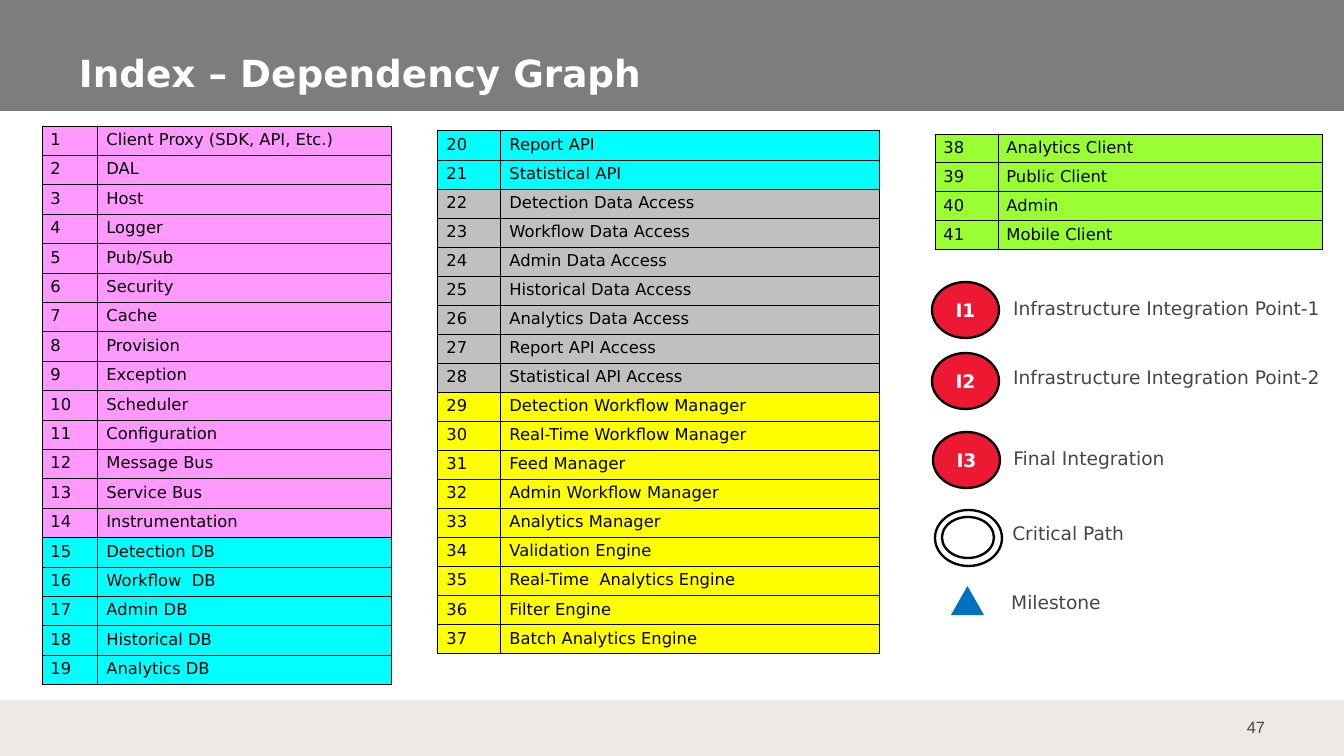
from lxml.etree import SubElement
from pptx import Presentation
from pptx.dml.color import RGBColor
from pptx.enum.shapes import MSO_SHAPE as Shape
from pptx.enum.text import MSO_ANCHOR as Anchor, MSO_AUTO_SIZE as AutoSize, PP_ALIGN as Align
from pptx.oxml.ns import qn
from pptx.util import Emu, Pt

PX = 914400 / 84
LABEL = {"name": "DejaVu Sans", "size": Pt(16), "bold": False}
STRONG = {**LABEL, "bold": True}
TITLE = {**STRONG, "size": Pt(32)}
CELL = {**LABEL, "size": Pt(14)}
NUMBER = {**CELL, "name": "Arial"}
BLACK, WHITE, DARK = "000000", "FFFFFF", "464646"
PINK, CYAN, GRAY, YELLOW, GREEN = "FF99FF", "00FFFF", "C0C0C0", "FFFF00", "99FF33"


def color(value):
    return RGBColor.from_string(value)


def write(frame, text, style, ink, align=Align.LEFT):
    para = frame.paragraphs[0]
    para.alignment = align
    span = para.add_run()
    span.text = text
    for name, value in style.items():
        setattr(span.font, name, value)
    span.font.color.rgb = color(ink)


deck = Presentation()
deck.slide_width, deck.slide_height = Emu(round(1344 * PX)), Emu(round(756 * PX))
page = deck.slides.add_slide(deck.slide_layouts[6])

shapes = [
    (Shape.RECTANGLE, (-2, 0, 1348, 111), "7D7D7D", False, ""),
    (Shape.RECTANGLE, (0, 700, 1344, 56), "EFE9E5", False, ""),
    (Shape.OVAL, (932, 282, 67, 56), "ED1933", True, "I1"),
    (Shape.OVAL, (932, 353, 67, 56), "ED1933", True, "I2"),
    (Shape.OVAL, (933, 432, 67, 56), "ED1933", True, "I3"),
    (Shape.OVAL, (935, 510, 67, 56), None, True, ""),
    (Shape.OVAL, (942, 517, 52, 41), None, True, ""),
    (Shape.ISOSCELES_TRIANGLE, (951, 586, 33, 29), "0070C0", False, ""),
]
for kind, place, fill, outlined, text in shapes:
    shape = page.shapes.add_shape(kind, *[Emu(round(n * PX)) for n in place])
    shape.shadow.inherit = False
    if fill:
        shape.fill.solid()
        shape.fill.fore_color.rgb = color(fill)
    else:
        shape.fill.background()
    if outlined:
        shape.line.color.rgb = color(BLACK)
        shape.line.width = Pt(2)
    else:
        shape.line.fill.background()
    if text:
        shape.text_frame.vertical_anchor = Anchor.MIDDLE
        write(shape.text_frame, text, STRONG, WHITE, Align.CENTER)

headings = [
    ((67, 39, 1194, 62), "Index – Dependency Graph", TITLE, WHITE, Align.LEFT, Anchor.BOTTOM),
    ((1210, 707, 67, 40), "47", NUMBER, DARK, Align.RIGHT, Anchor.MIDDLE),
]
for place, text, style, ink, align, anchor in headings:
    box = page.shapes.add_textbox(*[Emu(round(n * PX)) for n in place])
    frame = box.text_frame
    frame.word_wrap = True
    frame.vertical_anchor = anchor
    frame.margin_left = frame.margin_right = Emu(round(12 * PX))
    frame.margin_top = frame.margin_bottom = Emu(round(6 * PX))
    write(frame, text, style, ink, align)

labels = [
    (1005, 293, 334, "Infrastructure Integration Point-1"),
    (1005, 362, 334, "Infrastructure Integration Point-2"),
    (1005, 443, 174, "Final Integration"),
    (1004, 518, 131, "Critical Path"),
    (1003, 587, 109, "Milestone"),
]
for left, top, width, text in labels:
    box = page.shapes.add_textbox(*[Emu(round(n * PX)) for n in (left, top, width, 31)])
    box.text_frame.word_wrap = False
    box.text_frame.auto_size = AutoSize.SHAPE_TO_FIT_TEXT
    write(box.text_frame, text, LABEL, DARK)

tables = [
    ((42, 126, 350, 559), 56, [
        (PINK, ["Client Proxy (SDK, API, Etc.)", "DAL", "Host", "Logger", "Pub/Sub",
                "Security", "Cache", "Provision", "Exception", "Scheduler",
                "Configuration", "Message Bus", "Service Bus", "Instrumentation"]),
        (CYAN, ["Detection DB", "Workflow  DB", "Admin DB", "Historical DB", "Analytics DB"]),
    ]),
    ((438, 131, 442, 523), 63, [
        (CYAN, ["Report API", "Statistical API"]),
        (GRAY, ["Detection Data Access", "Workflow Data Access", "Admin Data Access",
                "Historical Data Access", "Analytics Data Access", "Report API Access",
                "Statistical API Access"]),
        (YELLOW, ["Detection Workflow Manager", "Real-Time Workflow Manager", "Feed Manager",
                  "Admin Workflow Manager", "Analytics Manager", "Validation Engine",
                  "Real-Time  Analytics Engine", "Filter Engine", "Batch Analytics Engine"]),
    ]),
    ((935, 134, 387, 116), 63, [
        (GREEN, ["Analytics Client", "Public Client", "Admin", "Mobile Client"]),
    ]),
]
number = 0
for place, number_width, groups in tables:
    entries = [(fill, name) for fill, names in groups for name in names]
    table = page.shapes.add_table(len(entries), 2, *[Emu(round(n * PX)) for n in place]).table
    table.first_row = table.horz_banding = False
    table.columns[0].width = Emu(round(number_width * PX))
    table.columns[1].width = Emu(round((place[2] - number_width) * PX))
    for row, (fill, name) in zip(table.rows, entries):
        row.height = Emu(round(place[3] / len(entries) * PX))
        number += 1
        for cell, text in zip(row.cells, (str(number), name)):
            props = cell._tc.get_or_add_tcPr()
            for side in ("a:lnL", "a:lnR", "a:lnT", "a:lnB"):
                border = SubElement(props, qn(side), w=str(Pt(1)))
                SubElement(SubElement(border, qn("a:solidFill")), qn("a:srgbClr"), val=BLACK)
            cell.fill.solid()
            cell.fill.fore_color.rgb = color(fill)
            write(cell.text_frame, text, CELL, BLACK)

deck.save("out.pptx")
